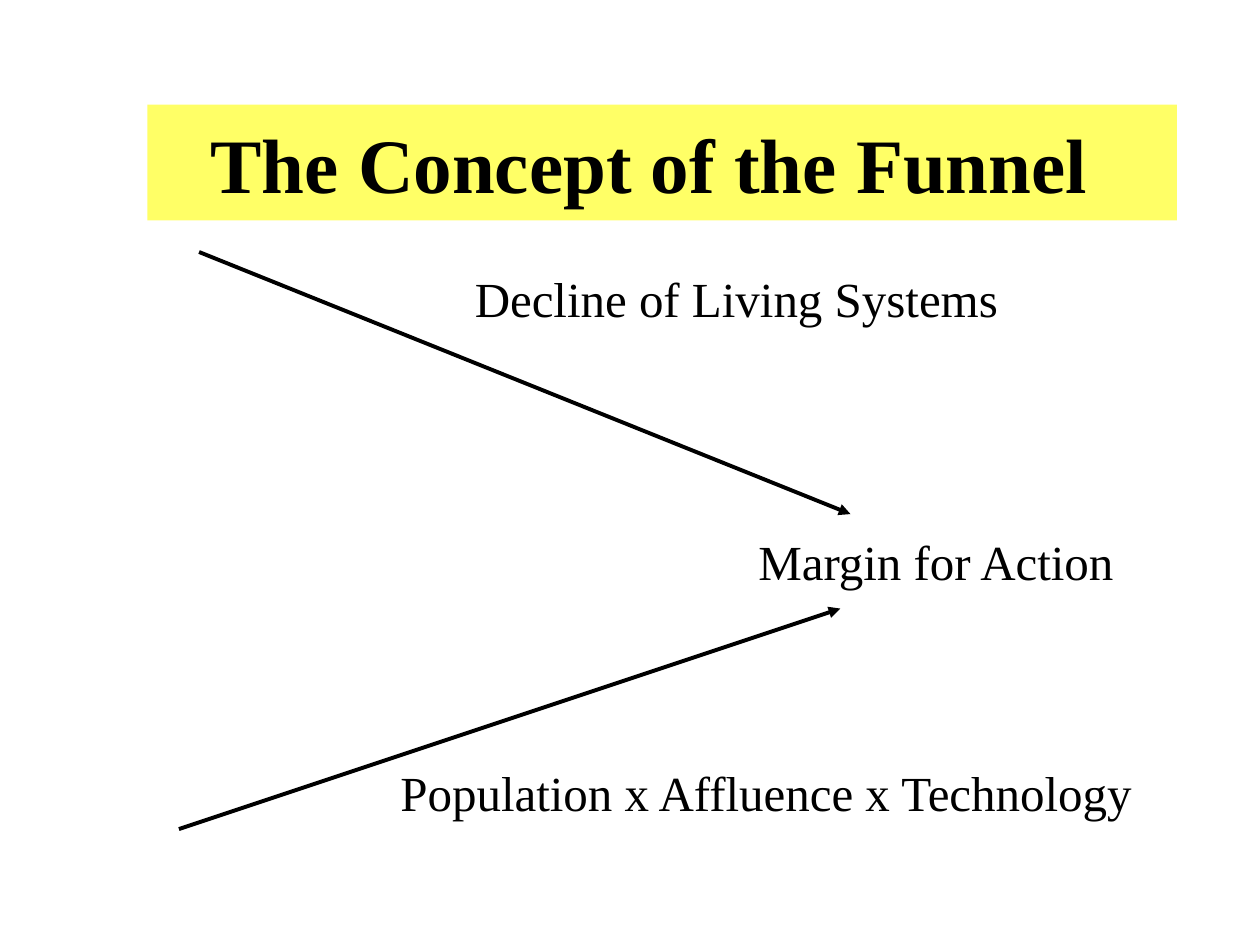
"""Build the funnel concept slide."""
from lxml import etree
from pptx import Presentation, util as u
from pptx.dml.color import RGBColor
from pptx.enum import shapes, text
from pptx.oxml.ns import qn

COLOURS = {"ink": "000000", "banner": "FFFF66"}
FONT = "Times New Roman"
HEADING = ("The Concept of the Funnel", (1.17, 0.83, 8.17, 0.92))
FUNNEL_SIDES = [
    ((1.42, 6.58), (6.67, 4.83)),
    ((1.58, 2), (6.75, 4.08)),
]
LABEL_HEIGHT = 0.57
LABELS = [
    ("Decline of Living Systems", 3.67, 2.08, 5.17),
    ("Margin for Action", 5.92, 4.17, 3.42),
    ("Population x Affluence x Technology", 3.08, 6, 6.5),
]


def inches(values):
    return [u.Inches(value) for value in values]


def colour(name):
    return RGBColor.from_string(COLOURS[name])


def write(frame, words, size, align, bold=False):
    frame.word_wrap = True
    paragraph = frame.paragraphs[0]
    paragraph.text = words
    paragraph.alignment = align
    font = paragraph.font
    font.name, font.size, font.bold = FONT, u.Pt(size), bold
    font.color.rgb = colour("ink")


def add_heading(slide):
    words, place = HEADING
    heading = slide.shapes.title
    heading.left, heading.top, heading.width, heading.height = inches(place)
    heading.fill.solid()
    heading.fill.fore_color.rgb = colour("banner")
    frame = heading.text_frame
    frame.auto_size = text.MSO_AUTO_SIZE.NONE
    frame.vertical_anchor = text.MSO_ANCHOR.MIDDLE
    frame.margin_right = u.Inches(0.3)
    write(frame, words, 44, text.PP_ALIGN.CENTER, bold=True)


def add_side(slide, start, end):
    side = slide.shapes.add_connector(
        shapes.MSO_CONNECTOR.STRAIGHT, *inches(start + end))
    side.line.color.rgb = colour("ink")
    side.line.width = u.Pt(2.25)
    etree.SubElement(side.line._get_or_add_ln(), qn("a:tailEnd"), type="triangle")
    etree.SubElement(side._element.spPr, qn("a:effectLst"))


def add_label(slide, words, left, top, width):
    label = slide.shapes.add_textbox(*inches((left, top, width, LABEL_HEIGHT)))
    label.text_frame.auto_size = text.MSO_AUTO_SIZE.SHAPE_TO_FIT_TEXT
    write(label.text_frame, words, 28, text.PP_ALIGN.LEFT)


def main():
    deck = Presentation()
    deck.slide_width, deck.slide_height = inches((10, 7.5))
    slide = deck.slides.add_slide(deck.slide_layouts.get_by_name("Title Only"))
    add_heading(slide)
    for start, end in FUNNEL_SIDES:
        add_side(slide, start, end)
    for label in LABELS:
        add_label(slide, *label)
    deck.save("out.pptx")


if __name__ == "__main__":
    main()
